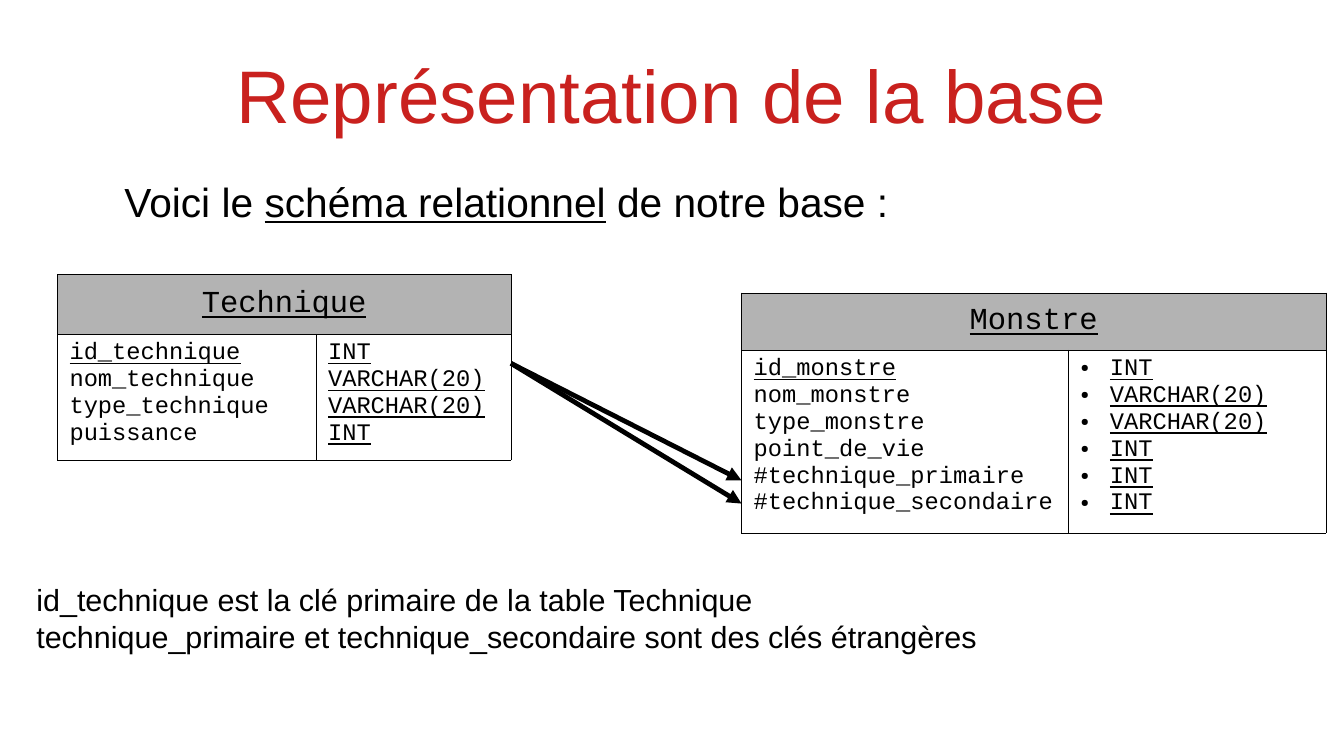
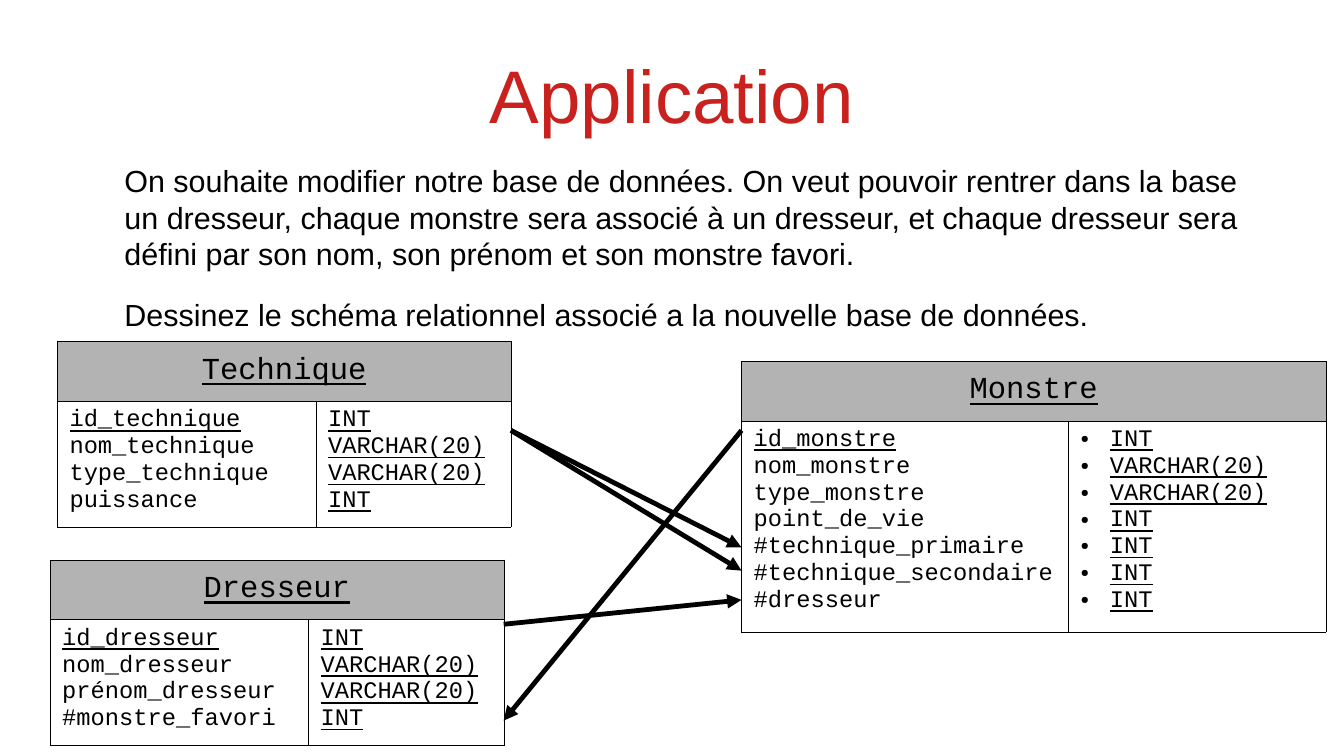
from pptx import Presentation
from pptx.dml.color import RGBColor
from pptx.enum.shapes import MSO_CONNECTOR
from pptx.enum.text import MSO_ANCHOR, PP_ALIGN
from pptx.oxml.ns import qn
from pptx.util import Inches, Pt
from lxml.etree import SubElement

COLORS = {"title": "C9211E", "text": "000000", "header": "B3B3B3",
          "cell": "FFFFFF", "line": "000000"}
SANS, MONO = "Arial", "Courier New"
TITLE = {"name": SANS, "size": Pt(44)}
LEAD = {"name": SANS, "size": Pt(24)}
BODY = {"name": SANS, "size": Pt(18)}
HEADER = {"name": MONO, "size": Pt(18), "underline": True}
FIELD = {"name": MONO, "size": Pt(14), "underline": False}
KEY = {**FIELD, "underline": True}

PAGE_LEFT, PAGE_WIDTH = 0.55, 9.92
BODY_INDENT = 0.47
LEFT_COLS, MONSTRE_COLS = (2.12, 1.6), (2.68, 2.11)
LEFT_ROWS = (0.49, 0.99)
TECHNIQUE_X, MONSTRE_X, DRESSEUR_X = 0.47, 6.08, 0.41

TEXT_20 = "VARCHAR(20)"
TECHNIQUE = [("id_technique", "INT"), ("nom_technique", TEXT_20),
             ("type_technique", TEXT_20), ("puissance", "INT")]
MONSTRE = [("id_monstre", "INT"), ("nom_monstre", TEXT_20),
           ("type_monstre", TEXT_20), ("point_de_vie", "INT"),
           ("#technique_primaire", "INT"), ("#technique_secondaire", "INT")]
DRESSEUR = [("id_dresseur", "INT"), ("nom_dresseur", TEXT_20),
            ("prénom_dresseur", TEXT_20), ("#monstre_favori", "INT")]


def rgb(name):
    return RGBColor.from_string(COLORS[name])


def add_run(p, text, style, color="text"):
    r = p.add_run()
    r.text = text
    for key, value in style.items():
        setattr(r.font, key, value)
    r.font.color.rgb = rgb(color)


def paragraphs(tf, count):
    """Return count paragraphs, starting with the one already there."""
    return [tf.paragraphs[0]] + [tf.add_paragraph() for _ in range(count - 1)]


def set_margins(tf, x, y):
    for side, value in {"left": x, "right": x, "top": y, "bottom": y}.items():
        setattr(tf, f"margin_{side}", Inches(value))


def add_slide(prs, title):
    s = prs.slides.add_slide(prs.slide_layouts[5])
    sp = s.shapes.title
    box = {"left": PAGE_LEFT, "top": 0.25, "width": PAGE_WIDTH, "height": 1.04}
    for key, value in box.items():
        setattr(sp, key, Inches(value))
    tf = sp.text_frame
    tf.vertical_anchor = MSO_ANCHOR.MIDDLE
    set_margins(tf, 0, 0)
    p = tf.paragraphs[0]
    p.alignment = PP_ALIGN.CENTER
    add_run(p, title, TITLE, "title")
    return s


def add_text(s, box, lines, margins=(0, 0), indent=0, gap=0):
    """Each line is a list of (text, style) runs."""
    tf = s.shapes.add_textbox(*map(Inches, box)).text_frame
    tf.word_wrap = True
    set_margins(tf, *margins)
    for i, (p, runs) in enumerate(zip(paragraphs(tf, len(lines)), lines)):
        p.space_before = Pt(gap if i else 0)
        p._p.get_or_add_pPr().set("marL", str(Inches(indent)))
        for text, style in runs:
            add_run(p, text, style)


def add_body(s, top, height, lines):
    add_text(s, (PAGE_LEFT, top, PAGE_WIDTH, height), lines,
             indent=BODY_INDENT, gap=14.2)


def add_bullet(p):
    pPr = p._p.get_or_add_pPr()
    pPr.set("marL", str(Inches(0.24)))
    pPr.set("indent", str(Inches(-0.24)))
    color = SubElement(pPr, qn("a:buClr"))
    SubElement(color, qn("a:srgbClr"), val=COLORS["text"])
    SubElement(pPr, qn("a:buSzPct"), val="45000")
    SubElement(pPr, qn("a:buChar"), char="●")


def format_cell(cell, fill):
    tcPr = cell._tc.get_or_add_tcPr()
    for side in "LRTB":
        ln = SubElement(tcPr, qn(f"a:ln{side}"), w=str(Pt(0.06)))
        solid = SubElement(ln, qn("a:solidFill"))
        SubElement(solid, qn("a:srgbClr"), val=COLORS["line"])
    cell.fill.solid()
    cell.fill.fore_color.rgb = rgb(fill)
    set_margins(cell, 0.1, 0.05)


def add_relation(s, name, fields, left, top, cols, rows, bullets=False):
    """Table with the relation's name above its fields and their types."""
    size = (left, top, sum(cols), sum(rows))
    table = s.shapes.add_table(2, 2, *map(Inches, size)).table
    table.first_row = table.horz_banding = False
    for column, width in zip(table.columns, cols):
        column.width = Inches(width)
    for row, height, fill in zip(table.rows, rows, ("header", "cell")):
        row.height = Inches(height)
        for cell in row.cells:
            format_cell(cell, fill)

    # Header
    header = table.cell(0, 0)
    header.merge(table.cell(0, 1))
    header.vertical_anchor = MSO_ANCHOR.MIDDLE
    p = header.text_frame.paragraphs[0]
    p.alignment = PP_ALIGN.CENTER
    add_run(p, name, HEADER)

    # Field names, then types; the primary key and the types are underlined
    for col, texts in enumerate(zip(*fields)):
        tf = table.cell(1, col).text_frame
        for i, (p, text) in enumerate(zip(paragraphs(tf, len(texts)), texts)):
            add_run(p, text, KEY if col == 1 or i == 0 else FIELD)
            if bullets and col == 1:
                add_bullet(p)


def add_arrow(s, start, end):
    line = s.shapes.add_connector(MSO_CONNECTOR.STRAIGHT,
                                  *map(Inches, start + end))
    line.line.color.rgb = rgb("line")
    line.line.width = Pt(2.83)
    SubElement(line.line._get_or_add_ln(), qn("a:tailEnd"), type="triangle")
    SubElement(line._element.spPr, qn("a:effectLst"))


def add_schema(s, top, monstre_top, monstre_fields, monstre_rows):
    """Monstre and Technique, with the two foreign keys that join them."""
    add_relation(s, "Monstre", monstre_fields, MONSTRE_X, monstre_top,
                 MONSTRE_COLS, monstre_rows, bullets=True)
    add_relation(s, "Technique", TECHNIQUE, TECHNIQUE_X, top,
                 LEFT_COLS, LEFT_ROWS)
    start = (TECHNIQUE_X + sum(LEFT_COLS), top + 0.73)
    for drop in (1.69, 1.88):
        add_arrow(s, start, (MONSTRE_X, top + drop))


def build_representation(prs):
    s = add_slide(prs, "Représentation de la base")
    add_body(s, 1.45, 0.52, [[
        ("Voici le ", LEAD),
        ("schéma relationnel", {**LEAD, "underline": True}),
        (" de notre base :", LEAD)]])
    add_schema(s, 2.25, 2.4, MONSTRE, (0.47, 1.41))
    add_text(s, (0.2, 4.72, 10.63, 0.94), [
        [("id_technique est la clé primaire de la table Technique", BODY)],
        [("technique_primaire et technique_secondaire "
          "sont des clés étrangères", BODY)]], margins=(0.1, 0.05))


def build_application(prs):
    s = add_slide(prs, "Application")
    add_body(s, 1.33, 1.5, [
        [("On souhaite modifier notre base de données. On veut pouvoir "
          "rentrer dans la base un dresseur, chaque monstre sera associé à "
          "un dresseur, et chaque dresseur sera défini par son nom, son "
          "prénom et son monstre favori.", BODY)],
        [("Dessinez le schéma relationnel associé a la nouvelle base de "
          "données.", BODY)]])
    add_schema(s, 2.8, 2.96, MONSTRE + [("#dresseur", "INT")], (0.49, 1.64))
    add_relation(s, "Dresseur", DRESSEUR, DRESSEUR_X, 4.59,
                 LEFT_COLS, LEFT_ROWS)
    dresseur_right = DRESSEUR_X + sum(LEFT_COLS)
    add_arrow(s, (dresseur_right, 5.12), (MONSTRE_X, 4.92))
    add_arrow(s, (MONSTRE_X, 3.53), (dresseur_right, 5.91))


def main():
    prs = Presentation()
    prs.slide_width, prs.slide_height = Inches(11.02), Inches(6.2)
    build_representation(prs)
    build_application(prs)
    prs.save("out.pptx")


if __name__ == "__main__":
    main()
